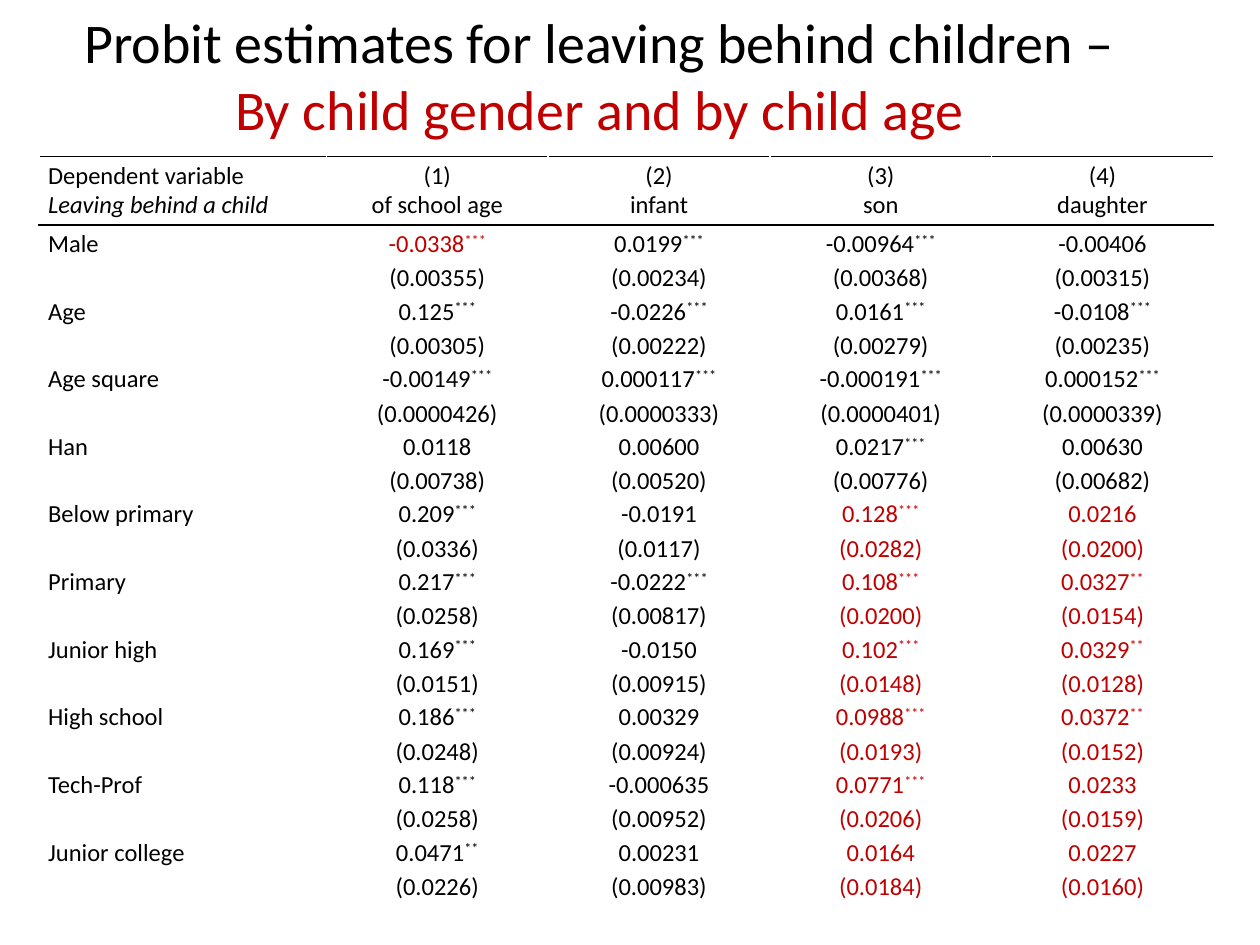
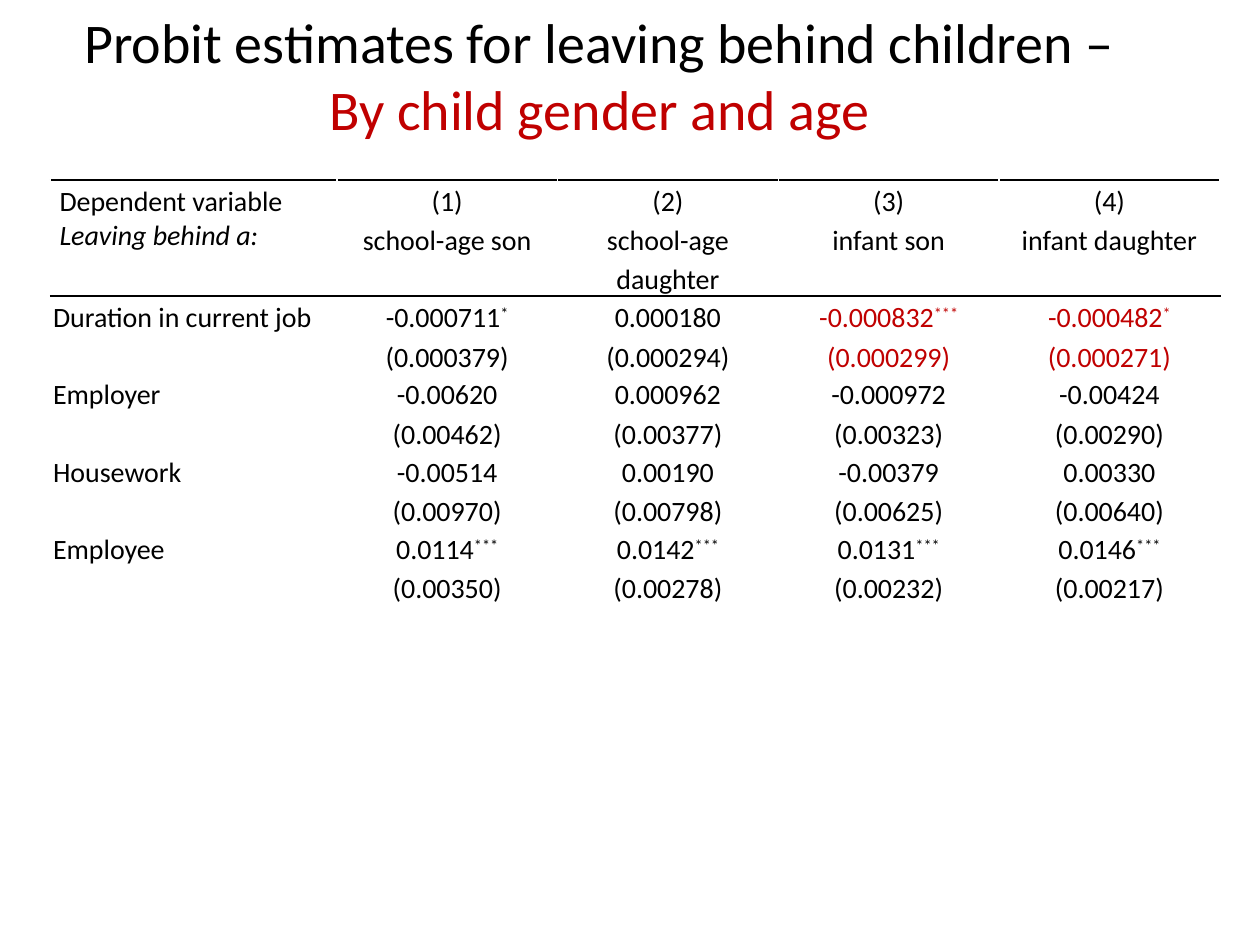
"""Build two slides of probit estimates for leaving children behind."""
from copy import deepcopy
from itertools import product

from lxml.etree import SubElement
from pptx import Presentation
from pptx.dml.color import RGBColor
from pptx.enum.text import MSO_ANCHOR as Anchor, PP_ALIGN as Align
from pptx.oxml.ns import qn
from pptx.util import Cm, Pt

FONT = "Calibri"
BLACK, WHITE, RED = "000000", "FFFFFF", "C00000"
WIDE, SLIM = 0.18, 0.05

BY_ONE = {
    "title": "By child gender and by child age",
    "at": (0.79, 3.15), "cols": (5.79, 4.47), "rows": (0.6, 0.7, 1.33),
    "size": 14, "loose": False, "slim": False,
    "heads": ["Dependent variable|(1)|(2)|(3)|(4)",
              "Leaving behind a child|of school age|infant|son|daughter"],
    "body": [
        "Male|-0.0338*** (0.00355)|0.0199*** (0.00234)|-0.00964*** (0.00368)|-0.00406 (0.00315)",
        "Age|0.125*** (0.00305)|-0.0226*** (0.00222)|0.0161*** (0.00279)|-0.0108*** (0.00235)",
        "Age square|-0.00149*** (0.0000426)|0.000117*** (0.0000333)"
        "|-0.000191*** (0.0000401)|0.000152*** (0.0000339)",
        "Han|0.0118 (0.00738)|0.00600 (0.00520)|0.0217*** (0.00776)|0.00630 (0.00682)",
        "Below primary|0.209*** (0.0336)|-0.0191 (0.0117)|0.128*** (0.0282)|0.0216 (0.0200)",
        "Primary|0.217*** (0.0258)|-0.0222*** (0.00817)|0.108*** (0.0200)|0.0327** (0.0154)",
        "Junior high|0.169*** (0.0151)|-0.0150 (0.00915)|0.102*** (0.0148)|0.0329** (0.0128)",
        "High school|0.186*** (0.0248)|0.00329 (0.00924)|0.0988*** (0.0193)|0.0372** (0.0152)",
        "Tech-Prof|0.118*** (0.0258)|-0.000635 (0.00952)|0.0771*** (0.0206)|0.0233 (0.0159)",
        "Junior college|0.0471** (0.0226)|0.00231 (0.00983)|0.0164 (0.0184)|0.0227 (0.0160)",
    ],
    "tints": {(0, 1): (RED, BLACK),
              **{spot: (RED, RED) for spot in product(range(4, 10), (3, 4))}},
}

BY_BOTH = {
    "title": "By child gender and age",
    "at": (1.02, 3.63), "cols": (5.77, 4.45), "rows": (0.75, 1.5, 1.52),
    "size": 16, "loose": True, "slim": True,
    "heads": ["Dependent variable|(1)|(2)|(3)|(4)",
              "Leaving behind a:|school-age son|school-age daughter|infant son|infant daughter"],
    "body": [
        "Duration in current job|-0.000711* (0.000379)|0.000180 (0.000294)"
        "|-0.000832*** (0.000299)|-0.000482* (0.000271)",
        "Employer|-0.00620 (0.00462)|0.000962 (0.00377)|-0.000972 (0.00323)|-0.00424 (0.00290)",
        "Housework|-0.00514 (0.00970)|0.00190 (0.00798)|-0.00379 (0.00625)|0.00330 (0.00640)",
        "Employee|0.0114*** (0.00350)|0.0142*** (0.00278)|0.0131*** (0.00232)|0.0146*** (0.00217)",
    ],
    "tints": {(0, 3): (RED, RED), (0, 4): (RED, RED)},
}


def paint(target, tone):
    """Give a fill or a font a solid colour."""
    if hasattr(target, "solid"):
        target.solid()
        target.fore_color.rgb = RGBColor.from_string(tone)
    else:
        target.color.rgb = RGBColor.from_string(tone)


def write(para, text, size, tone=BLACK, italic=None, raised=False):
    """Add a formatted run to a paragraph."""
    run = para.add_run()
    run.text = text
    run.font.name, run.font.size, run.font.italic = FONT, Pt(size), italic
    paint(run.font, tone)
    if raised:
        run.font._element.set("baseline", "30000")
    return run


def break_line(para, run):
    """Break the line in the format of the run before it."""
    para.add_line_break()
    para._p[-1].append(deepcopy(run.font._element))


def add_title(slide, subject):
    """Add the shared heading with its red second line."""
    box = slide.shapes.add_textbox(Cm(0.79), Cm(0), Cm(23.65), Cm(3))
    frame = box.text_frame
    frame.word_wrap, frame.vertical_anchor = True, Anchor.MIDDLE
    top, low = frame.paragraphs[0], frame.add_paragraph()
    top.alignment = low.alignment = Align.CENTER
    top._p.get_or_add_pPr().set("marR", str(Cm(1.05)))
    write(top, "Probit estimates for leaving behind children –", 32)
    write(low, subject, 32, tone=RED)


def add_edges(cell, row):
    """Rule the heading rows in black and every other edge in white."""
    dark = {0: "T", 1: "B", 2: "T"}.get(row)
    props = cell._tc.get_or_add_tcPr()
    for side in "LRTB":
        line = SubElement(props, qn(f"a:ln{side}"), w=str(Pt(1)))
        fill = SubElement(line, qn("a:solidFill"))
        SubElement(fill, qn("a:srgbClr"), val=BLACK if side == dark else WHITE)


def style_cell(cell, row, col, slim):
    """Set the edges, fill, margins and alignment of a cell."""
    add_edges(cell, row)
    paint(cell.fill, WHITE)
    cell.margin_left = cell.margin_right = Cm(SLIM if slim else WIDE)
    cell.margin_top = cell.margin_bottom = 0
    para = cell.text_frame.paragraphs[0]
    para.alignment = Align.CENTER if col else Align.LEFT
    return para


def write_value(para, text, size, tones):
    """Write an estimate, its stars and its standard error below."""
    value, error = text.split()
    figure = value.rstrip("*")
    run = write(para, figure, size, tone=tones[0])
    if figure != value:
        run = write(para, value[len(figure):], size, tone=tones[0], raised=True)
    break_line(para, run)
    write(para, error, size, tone=tones[1])


def add_grid(slide, data):
    """Add the table of estimates."""
    lines = [line.split("|") for line in data["heads"] + data["body"]]
    left, top = data["at"]
    widths = [data["cols"][min(col, 1)] for col in range(5)]
    heights = [data["rows"][min(row, 2)] for row in range(len(lines))]
    grid = slide.shapes.add_table(len(lines), 5, Cm(left), Cm(top),
                                  Cm(sum(widths)), Cm(sum(heights))).table
    grid.first_row = grid.horz_banding = False
    for col, width in enumerate(widths):
        grid.columns[col].width = Cm(width)
    for row, line in enumerate(lines):
        grid.rows[row].height = Cm(heights[row])
        for col, text in enumerate(line):
            slim = data["slim"] and (row < 2) != (col == 0)
            para = style_cell(grid.cell(row, col), row, col, slim)
            if row != 1 or (col and data["loose"]):
                para.line_spacing = 1.15
            if row > 1 and col:
                tones = data["tints"].get((row - 2, col), (BLACK, BLACK))
                write_value(para, text, data["size"], tones)
            else:
                write(para, text, data["size"], italic=(row, col) == (1, 0))


def main():
    """Build and save the deck."""
    deck = Presentation()
    deck.slide_width, deck.slide_height = Cm(25.4), Cm(19.05)
    for data in (BY_ONE, BY_BOTH):
        slide = deck.slides.add_slide(deck.slide_layouts[6])
        add_title(slide, data["title"])
        add_grid(slide, data)
    deck.save("out.pptx")


if __name__ == "__main__":
    main()
